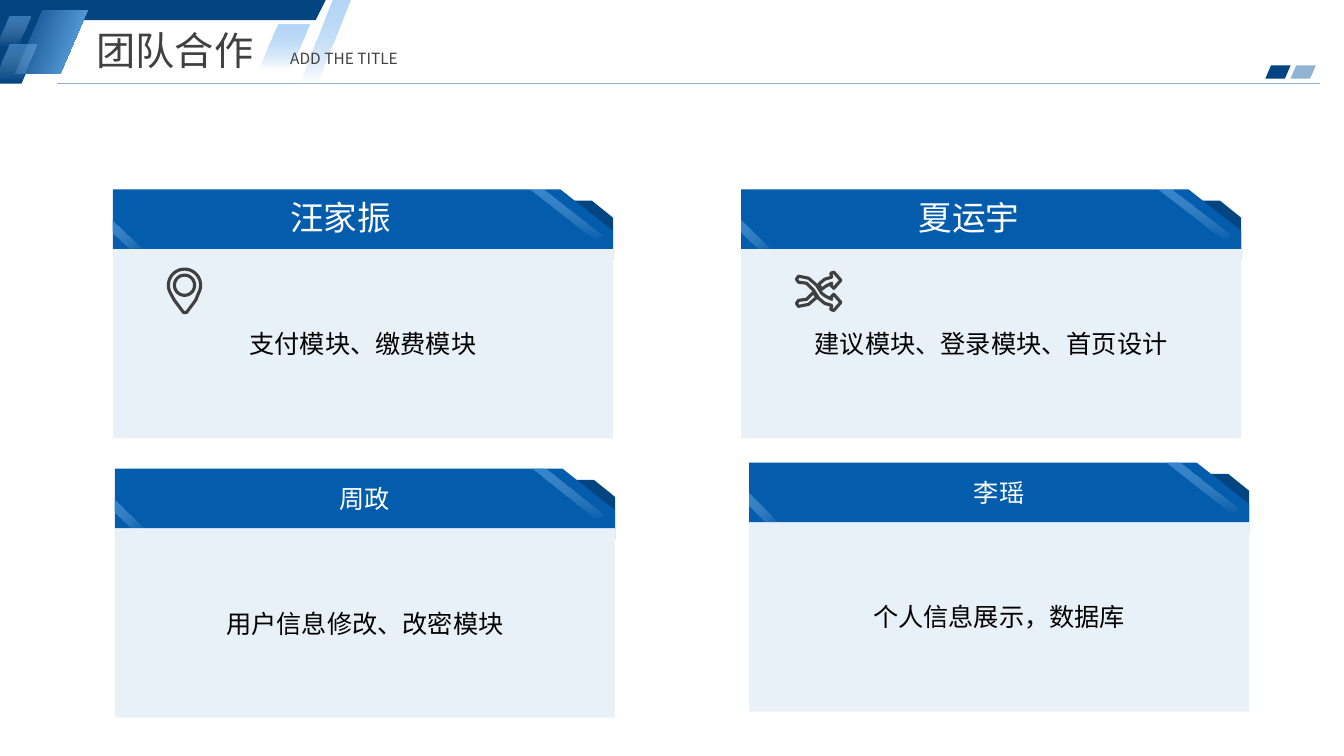
import math

import pptx
import pptx.dml.color
import pptx.enum.shapes
import pptx.enum.text
import pptx.oxml
import pptx.oxml.ns
import pptx.util

# Content: card left, top, name, name size, task
CARDS = [
    (1.12, 1.88, "汪家振", 24, "支付模块、缴费模块"),
    (7.35, 1.88, "夏运宇", 24, "建议模块、登录模块、首页设计"),
    (1.14, 4.65, "周政", 18, "用户信息修改、改密模块"),
    (7.43, 4.59, "李瑶", 18, "个人信息展示，数据库"),
]
TITLES = [("团队合作", 28, 0.86, 0.21, 0.57), ("ADD THE TITLE", 11, 2.78, 0.44, 0.29)]

# Style
FONT = "Noto Sans CJK SC"
NAVY, BLUE, SKY, STEEL = "034581", "035CAC", "6CAFEF", "8EB3D3"
PALE, GREY, WHITE, BLACK = "E8F0F8", "404040", "FFFFFF", "000000"
# Gradients: start, end (colour and opacity in percent), angle
DEEP = ((NAVY, 100), (SKY, 100), 20)
FADE = ((SKY, 50), (WHITE, 100), 90)
GLASS = ((SKY, 50), (WHITE, 0), 90)
CORNER_GLASS = GLASS[:2] + (43,)

# Header slants of one proportion: left, top, width, fill
SLANT_RATIO = 0.88
SLANTS = [(0.15, 0.1, 0.72, DEEP), (2.56, 0.24, 0.51, FADE),
          (-0.06, 0.44, 0.42, GLASS), (-0.03, 0.16, 0.33, GLASS)]
HEADER_HEIGHT = 0.83
TOP_BAR = [(0.38, 0), (3.23, 0), (3.13, 0.2), (0.38, 0.2)]

# Card parts, in inches from the card's corner
WIDTH, HEAD_HEIGHT, BODY_HEIGHT = 4.96, 0.59, 1.88
FOLD = [(0.31, 0.11), (4.75, 0.11), (WIDTH, 0.28), (WIDTH, 0.7), (0.31, 0.7)]
HEAD = [(0, 0), (4.44, 0), (WIDTH, 0.41), (WIDTH, HEAD_HEIGHT), (0, HEAD_HEIGHT)]
STREAK = [(4.14, 0), (4.27, 0), (4.85, 0.45), (4.79, 0.51)]
CORNER = [(0, 0.31), (0.31, 0.61), (0.18, 0.6), (0, 0.43)]

# Shuffle icon: one tail and one arrow, mirrored for the other strand
SHUFFLE_HEIGHT = 0.38
TAIL = [(0.2, 0.25), (0.12, 0.32), (0.02, 0.34), (0, 0.31), (0.02, 0.28), (0.1, 0.27), (0.17, 0.2)]
ARROW = [(0.22, 0.12), (0.28, 0.07), (0.35, 0.05), (0.34, 0.01), (0.37, 0), (0.44, 0.08),
         (0.37, 0.16), (0.34, 0.13), (0.35, 0.11), (0.29, 0.14), (0.25, 0.17)]
# Pin icon: a round head, a tip and a hole
PIN_RADIUS, HOLE_RADIUS = 0.16, 0.1
PIN_TIP = [(0.27, 0.31), (0.18, 0.43), (0.15, 0.43), (0.06, 0.31)]

presentation = pptx.Presentation()
presentation.slide_width = pptx.util.Inches(13.33)
presentation.slide_height = pptx.util.Inches(7.5)
slide = presentation.slides.add_slide(presentation.slide_layouts[6])


def color(value):
    return pptx.dml.color.RGBColor.from_string(value)


def inches(*values):
    return [pptx.util.Inches(value) for value in values]


def paint(shape, fill=None, line=None):
    """Fill with a colour or a gradient; outline only if a line colour is given."""
    shape.shadow.inherit = False
    shape.fill.background()
    if isinstance(fill, str):
        shape.fill.solid()
        shape.fill.fore_color.rgb = color(fill)
    elif fill:
        *stops, angle = fill
        marks = "".join(
            f'<a:gs pos="{index * 100000}"><a:srgbClr val="{value}">'
            f'<a:alpha val="{opacity * 1000}"/></a:srgbClr></a:gs>'
            for index, (value, opacity) in enumerate(stops))
        gradient = pptx.oxml.parse_xml(
            f'<a:gradFill {pptx.oxml.ns.nsdecls("a")} rotWithShape="1"><a:gsLst>{marks}</a:gsLst>'
            f'<a:lin ang="{angle * 60000}" scaled="0"/></a:gradFill>')
        properties = shape._element.spPr
        properties.replace(properties.find(pptx.oxml.ns.qn("a:noFill")), gradient)
    if line:
        shape.line.color.rgb = color(line)
        shape.line.width = pptx.util.Pt(2.25)
    else:
        shape.line.fill.background()
    return shape


def write(shape, text, size, ink, align="CENTER", anchor="MIDDLE", inset=None):
    frame = shape.text_frame
    frame.word_wrap = True
    frame.vertical_anchor = getattr(pptx.enum.text.MSO_ANCHOR, anchor)
    if inset is not None:
        frame.margin_left = frame.margin_top = frame.margin_right = frame.margin_bottom = inset
    paragraph = frame.paragraphs[0]
    paragraph.alignment = getattr(pptx.enum.text.PP_ALIGN, align)
    run = paragraph.add_run()
    run.text = text
    run.font.size = pptx.util.Pt(size)
    run.font.color.rgb = color(ink)
    run.font.name = FONT
    run.font._element.append(pptx.oxml.parse_xml(
        f'<a:ea {pptx.oxml.ns.nsdecls("a")} typeface="{FONT}"/>'))


def outline(contours, left=0, top=0, fill=None, line=None):
    placed = [[inches(left + x, top + y) for x, y in contour] for contour in contours]
    builder = slide.shapes.build_freeform(*placed[0][0])
    for index, contour in enumerate(placed):
        if index:
            builder.move_to(*contour[0])
        builder.add_line_segments(contour[1:], close=True)
    return paint(builder.convert_to_shape(), fill, line)


def arc(radius, start, end):
    """Points round the centre of the pin's head, every ten degrees."""
    angles = [math.radians(degree) for degree in range(start, end, 10)]
    return [(PIN_RADIUS + radius * math.cos(angle), PIN_RADIUS + radius * math.sin(angle))
            for angle in angles]


def mirror(points):
    return [(x, SHUFFLE_HEIGHT - y) for x, y in points]


def add_slant(left, top, width, height, fill, adjustment=0.43):
    shape = slide.shapes.add_shape(
        pptx.enum.shapes.MSO_SHAPE.PARALLELOGRAM, *inches(left, top, width, height))
    shape.adjustments[0] = adjustment
    paint(shape, fill)


def add_card(left, top, name, size, task):
    outline([FOLD], left, top, NAVY)
    body = slide.shapes.add_shape(
        pptx.enum.shapes.MSO_SHAPE.RECTANGLE,
        *inches(left, top + HEAD_HEIGHT, WIDTH, BODY_HEIGHT))
    write(paint(body, PALE), task, 18, BLACK)
    head = outline([HEAD], left, top, BLUE)
    outline([STREAK], left, top, GLASS)
    outline([CORNER], left, top, CORNER_GLASS)
    if size > 18:
        label = slide.shapes.add_textbox(*inches(left + 1.76, top + 0.07, 1.34, 0.4))
        write(label, name, size, WHITE, align="LEFT", anchor="TOP", inset=0)
    else:
        write(head, name, size, WHITE)


# Header
add_slant(-0.38, 0, 0.95, HEADER_HEIGHT, NAVY)
outline([TOP_BAR], fill=NAVY)
add_slant(2.97, 0, 0.51, HEADER_HEIGHT, FADE, adjustment=0.65)
for left, top, width, fill in SLANTS:
    add_slant(left, top, width, width * SLANT_RATIO, fill)
for index, fill in enumerate((NAVY, STEEL)):
    add_slant(12.55 + index * 0.25, 0.65, 0.25, 0.13, fill)
rule = slide.shapes.add_connector(
    pptx.enum.shapes.MSO_CONNECTOR.STRAIGHT, *inches(0.57, HEADER_HEIGHT, 13.09, HEADER_HEIGHT))
rule.line.color.rgb = color(STEEL)
rule.line.width = pptx.util.Pt(1)
rule._element.spPr.append(pptx.oxml.parse_xml(f'<a:effectLst {pptx.oxml.ns.nsdecls("a")}/>'))
for text, size, left, top, height in TITLES:
    title = slide.shapes.add_textbox(*inches(left, top, 1.95, height))
    write(title, text, size, GREY, align="JUSTIFY", anchor="TOP")

# Team cards
for card in CARDS:
    add_card(*card)

# Icons
outline([arc(PIN_RADIUS, 150, 400) + PIN_TIP, arc(HOLE_RADIUS, 0, 360)], 1.67, 2.67, line=GREY)
outline([TAIL, mirror(TAIL + ARROW), ARROW], 7.9, 2.7, line=GREY)

presentation.save("out.pptx")
